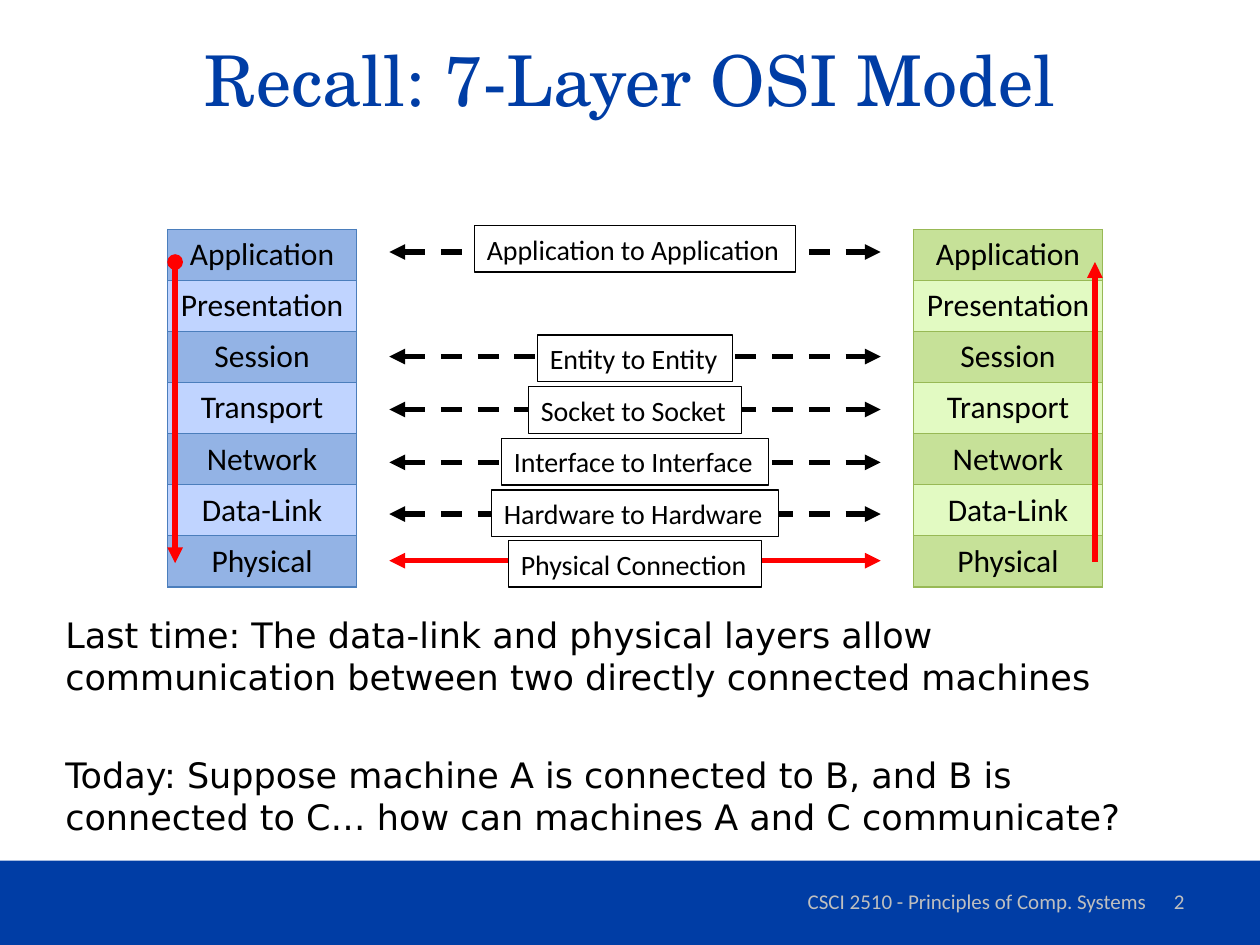
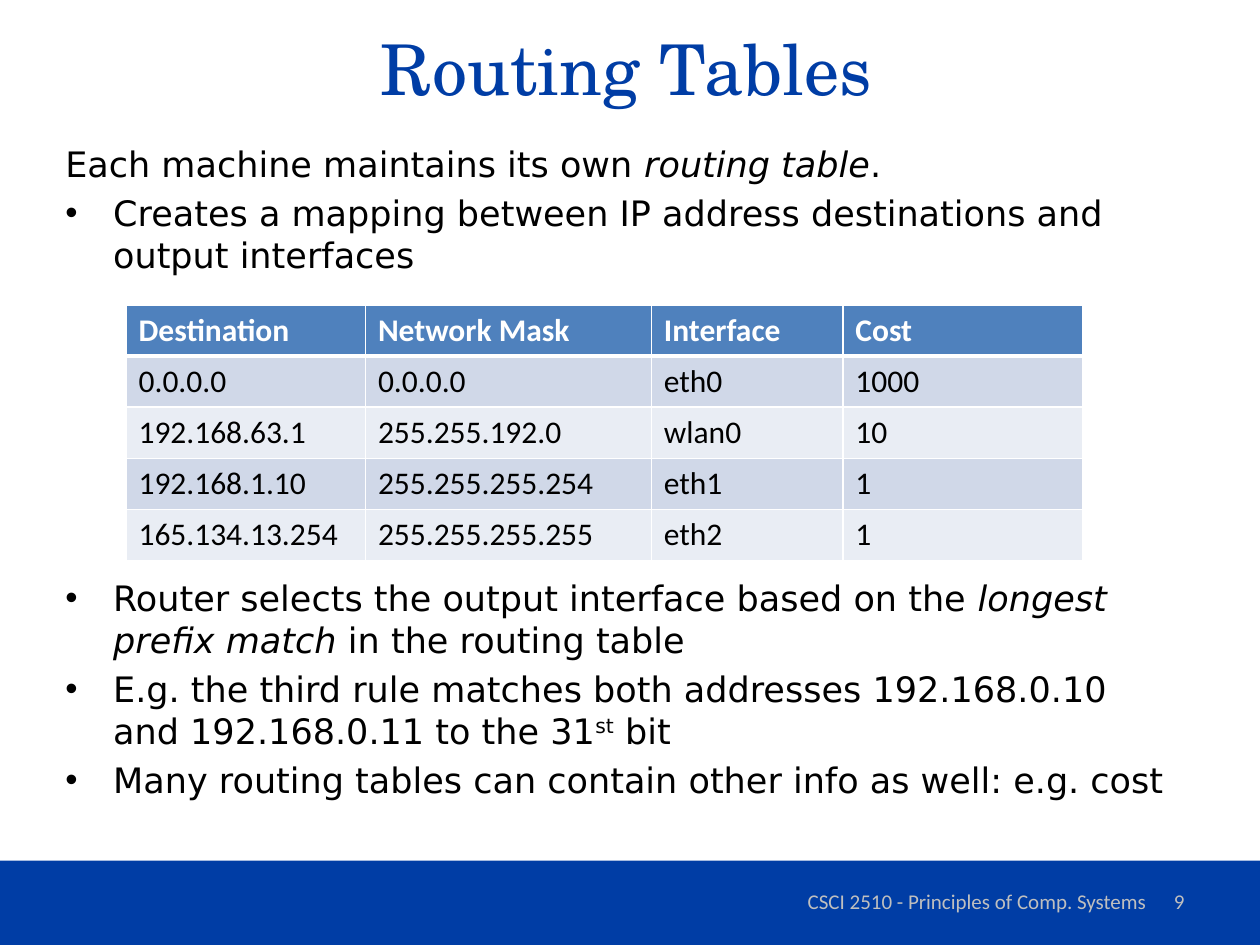
"""Build two networking lecture slides: the OSI layers and routing tables."""
from lxml import etree
from pptx import Presentation
from pptx import util as u
from pptx.dml.color import RGBColor
from pptx.enum import dml, shapes, text
from pptx.oxml import ns

BLUE, GREY, BLACK, WHITE, RED = "003DA5", "BFBFBF", "000000", "FFFFFF", "FF0000"
HEADER_BLUE = "4F81BD"
TITLE_FACE, BODY_FACE, LABEL_FACE = "TeX Gyre Schola", "DejaVu Sans", "Calibri"
LEFT, CENTER, RIGHT = text.PP_ALIGN.LEFT, text.PP_ALIGN.CENTER, text.PP_ALIGN.RIGHT


def paint(fill, color):
    fill.solid()
    fill.fore_color.rgb = RGBColor.from_string(color)


def write(para, spans, size, color=BLACK, face=LABEL_FACE, align=LEFT, bold=False):
    for words, style in spans:
        span = para.add_run()
        span.text = words
        if style == "italic":
            span.font.italic = True
        elif style == "superscript":
            span._r.get_or_add_rPr().set("baseline", "30000")
    para.alignment = align
    para.font.size = u.Pt(size)
    para.font.name = face
    para.font.bold = bold
    paint(para.font.fill, color)


deck = Presentation()
deck.slide_width, deck.slide_height = u.Inches(10), u.Inches(7.5)

pages = []
for title, left, top, number in [
    ("Recall: 7-Layer OSI Model", 0.5, 0, "2"),
    ("Routing Tables", 0.47, -0.09, "9"),
]:
    page = deck.slides.add_slide(deck.slide_layouts[5])
    pages.append(page)
    heading = page.shapes.title
    heading.left, heading.top = u.Inches(left), u.Inches(top)
    heading.width, heading.height = u.Inches(9), u.Inches(1.25)
    heading.text_frame.vertical_anchor = text.MSO_ANCHOR.MIDDLE
    write(heading.text_frame.paragraphs[0], [(title, "")], 40, BLUE, TITLE_FACE, CENTER)

    band = page.shapes.add_shape(
        shapes.MSO_SHAPE.RECTANGLE, 0, u.Inches(6.83), deck.slide_width, u.Inches(0.67))
    band.shadow.inherit = False
    paint(band.fill, BLUE)
    band.line.fill.background()

    for words, left, width, align in [
        ("CSCI 2510 - Principles of Comp. Systems", 6.17, 3.17, CENTER),
        (number, 7.17, 2.33, RIGHT),
    ]:
        footer = page.shapes.add_textbox(
            u.Inches(left), u.Inches(6.95), u.Inches(width), u.Inches(0.4))
        footer.text_frame.word_wrap = True
        footer.text_frame.vertical_anchor = text.MSO_ANCHOR.MIDDLE
        write(footer.text_frame.paragraphs[0], [(words, "")], 12, GREY, align=align)

osi_page, routing_page = pages

osi_body = [
    (False, 4, [("Last time: The data-link and physical layers allow communication "
                 "between two directly connected machines", "")]),
    (False, 32, [("Today: Suppose machine A is connected to B, and B is connected to C… "
                  "how can machines A and C communicate?", "")]),
]
routing_body = [
    (False, 4, [("Each machine maintains its own ", ""), ("routing table", "italic"), (".", "")]),
    (True, 4, [("Creates a mapping between IP address destinations and output interfaces", "")]),
    (True, 172, [("Router selects the output interface based on the ", ""),
                 ("longest prefix match", "italic"), (" in the routing table", "")]),
    (True, 4, [("E.g. the third rule matches both addresses 192.168.0.10 "
                "and 192.168.0.11 to the 31", ""), ("st", "superscript"), (" bit", "")]),
    (True, 4, [("Many routing tables can contain other info as well: e.g. cost", "")]),
]
for page, top, height, body in [
    (osi_page, 4.82, 2, osi_body),
    (routing_page, 1.08, 5.67, routing_body),
]:
    box = page.shapes.add_textbox(u.Inches(0.42), u.Inches(top), u.Inches(9), u.Inches(height))
    box.text_frame.word_wrap = True
    for index, (bulleted, gap, spans) in enumerate(body):
        para = box.text_frame.add_paragraph() if index else box.text_frame.paragraphs[0]
        if bulleted:
            props = para._p.get_or_add_pPr()
            props.set("marL", str(u.Inches(0.38)))
            props.set("indent", str(u.Inches(-0.38)))
            etree.SubElement(props, ns.qn("a:buFont"), typeface="Arial")
            etree.SubElement(props, ns.qn("a:buChar"), char="•")
        para.space_before = u.Pt(gap)
        write(para, spans, 20, face=BODY_FACE)

layers = [["Application"], ["Presentation"], ["Session"], ["Transport"],
          ["Network"], ["Data-Link"], ["Physical"]]
routes = [
    ["Destination", "Network Mask", "Interface", "Cost"],
    ["0.0.0.0", "0.0.0.0", "eth0", "1000"],
    ["192.168.63.1", "255.255.192.0", "wlan0", "10"],
    ["192.168.1.10", "255.255.255.254", "eth1", "1"],
    ["165.134.13.254", "255.255.255.255", "eth2", "1"],
]
for page, left, top, height, widths, rows, fills, edge, weight, align, has_header in [
    (osi_page, 1.33, 1.82, 2.84, [1.5], layers, ["93B3E5", "C0D4FF"], "4B7EBC", 0.75, CENTER, False),
    (osi_page, 7.25, 1.82, 2.84, [1.5], layers, ["C6E198", "E2FAC2"], "98B955", 0.75, CENTER, False),
    (routing_page, 1, 2.42, 2.03, [1.9, 2.27, 1.52, 1.9], routes, ["E9EDF4", "D0D8E8"], WHITE, 1, LEFT, True),
]:
    table = page.shapes.add_table(
        len(rows), len(widths), u.Inches(left), u.Inches(top),
        u.Inches(sum(widths)), u.Inches(height)).table
    table.first_row = has_header
    table.horz_banding = False
    for column, width in zip(table.columns, widths):
        column.width = u.Inches(width)
    for r, row in enumerate(rows):
        is_header = has_header and r == 0
        for c, words in enumerate(row):
            cell = table.cell(r, c)
            props = cell._tc.get_or_add_tcPr()
            for side in "LRTB":
                thick = has_header and (r, side) in [(0, "B"), (1, "T")]
                line = etree.SubElement(
                    props, ns.qn("a:ln" + side), w=str(u.Pt(3 if thick else weight)))
                solid = etree.SubElement(line, ns.qn("a:solidFill"))
                etree.SubElement(solid, ns.qn("a:srgbClr"), val=edge)
            paint(cell.fill, HEADER_BLUE if is_header else fills[r % 2])
            write(cell.text_frame.paragraphs[0], [(words, "")], 18,
                  WHITE if is_header else BLACK, align=align, bold=is_header)

links = [
    ("Application to Application", 2.55, 1.79, 2),
    ("Entity to Entity", 1.55, 2.66, 2.83),
    ("Socket to Socket", 1.69, 3.07, 3.25),
    ("Interface to Interface", 2.12, 3.48, 3.67),
    ("Hardware to Hardware", 2.28, 3.89, 4.08),
    ("Physical Connection", 2.01, 4.29, 4.45),
]
arrows = [(3.09, y, 6.99, y, BLACK, "triangle") for _, _, _, y in links[:-1]]
arrows += [
    (3.09, links[-1][3], 6.99, links[-1][3], RED, "triangle"),
    (1.39, 2.08, 1.39, 4.47, RED, "oval"),
    (8.69, 4.46, 8.69, 2.08, RED, "none"),
]
for x1, y1, x2, y2, color, head in arrows:
    arrow = osi_page.shapes.add_connector(
        shapes.MSO_CONNECTOR.STRAIGHT, u.Inches(x1), u.Inches(y1), u.Inches(x2), u.Inches(y2))
    paint(arrow.line.fill, color)
    arrow.line.width = u.Pt(3)
    if color == BLACK:
        arrow.line.dash_style = dml.MSO_LINE.DASH
    line = arrow.line._get_or_add_ln()
    etree.SubElement(line, ns.qn("a:headEnd"), type=head)
    etree.SubElement(line, ns.qn("a:tailEnd"), type="triangle")
    etree.SubElement(arrow._element.spPr, ns.qn("a:effectLst"))

for words, width, top, _ in links:
    label = osi_page.shapes.add_shape(
        shapes.MSO_SHAPE.RECTANGLE, u.Inches(5.04 - width / 2), u.Inches(top),
        u.Inches(width), u.Inches(0.37))
    label.shadow.inherit = False
    paint(label.fill, WHITE)
    paint(label.line.fill, BLACK)
    label.line.width = u.Pt(0.75)
    label.text_frame.word_wrap = False
    label.text_frame.auto_size = text.MSO_AUTO_SIZE.SHAPE_TO_FIT_TEXT
    write(label.text_frame.paragraphs[0], [(words, "")], 16)

deck.save("out.pptx")
